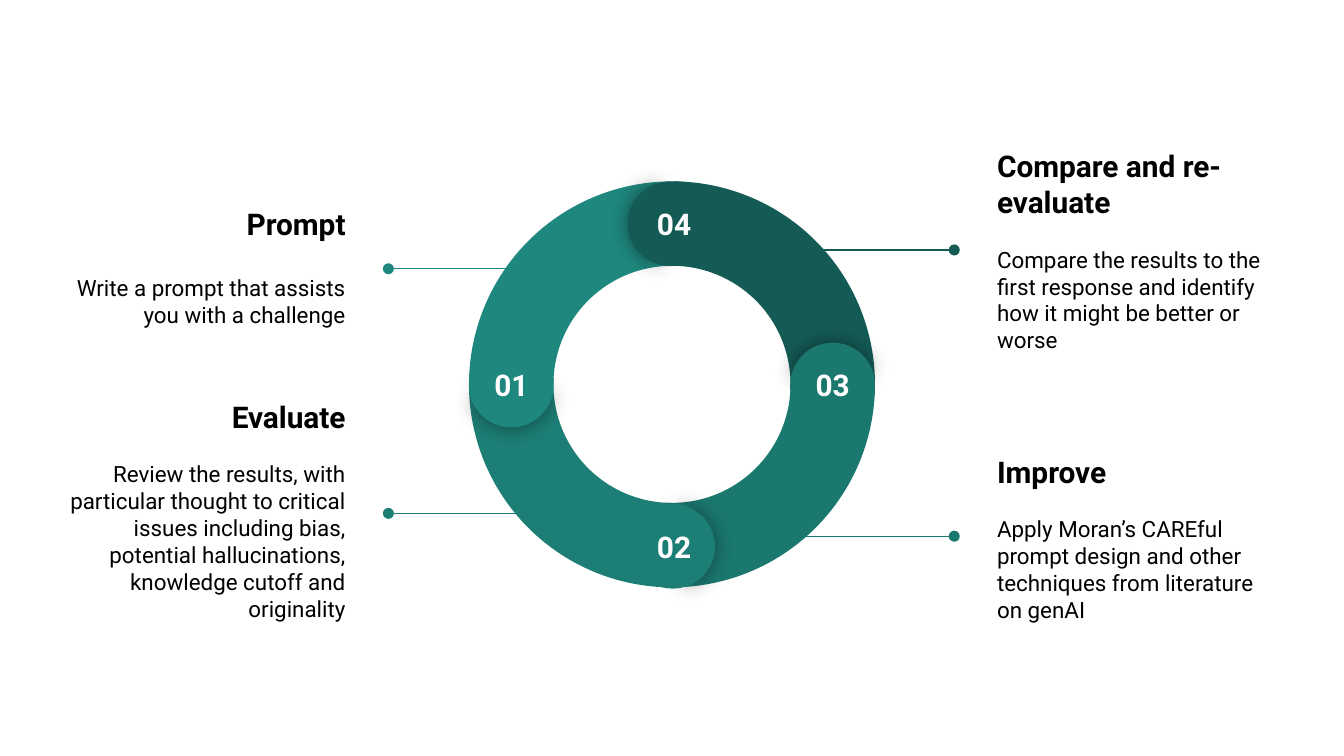
from dataclasses import dataclass

from lxml import etree
from pptx import Presentation
from pptx import util as u
from pptx.dml.color import RGBColor
from pptx.enum import shapes, text
from pptx.oxml.ns import qn

PX = 9144  # EMU in one px, at 100 px to the inch


@dataclass(frozen=True)
class Theme:
    font: str = "Roboto"
    ink: str = "000000"
    white: str = "FFFFFF"
    prompt: str = "1F887E"
    evaluate: str = "1D7E75"
    improve: str = "1B786F"
    compare: str = "155B55"
    heading: int = 16
    body: int = 12
    number: int = 16
    line: float = 0.75


THEME = Theme()
SHAPE = shapes.MSO_SHAPE
ALIGN = text.PP_ALIGN
ARC = (210.38, 303, 20.8 / 60)  # start and end in degrees, then thickness
FRONT, BACK = (103.17, 249.94), (67.14, 286.4)
CAP = 63

# number, colour, arc turn, cap turn, cap offset, number offset
STEPS = {
    "01": (THEME.prompt, 330, 270, (0, 120), (4, 128)),
    "02": (THEME.evaluate, 240, 180, (120, 240), (125, 248)),
    "03": (THEME.improve, 150, 90, (239, 120), (243, 128)),
    "04": (THEME.compare, 60, 0, (118, 0), (125, 8)),
}

# heading, body, colour, box, line (start x, end x, y) relative to the box, gap
CALLOUTS = [
    ("Prompt", "Write a prompt that assists you with a challenge",
     THEME.prompt, (35, 128, 232, 141), (368, 254, 72), 17.5),
    ("Evaluate",
     "Review the results, with particular thought to critical issues including "
     "bias, potential hallucinations, knowledge cutoff and originality",
     THEME.evaluate, (35, 309, 232, 141), (397, 254, 73), 14),
    ("Compare and re-evaluate",
     "Compare the results to the first response and identify how it might be "
     "better or worse",
     THEME.compare, (732, 116, 232, 141), (-162, -22, 70), 14),
    ("Improve",
     "Apply Moran’s CAREful prompt design and other techniques from literature "
     "on genAI",
     THEME.improve, (732, 330, 232, 141), (-162, -22, 69), 14),
]


def px(*lengths):
    return [u.Emu(length * PX) for length in lengths]


def add_text(para, words, *, size, color, bold=False, align=ALIGN.LEFT, after=0):
    para.alignment = align
    para.space_after = u.Pt(after)
    span = para.add_run()
    span.text = words
    span.font.name = THEME.font
    span.font.size = u.Pt(size)
    span.font.bold = bold
    span.font.color.rgb = RGBColor.from_string(color)


def add_frame(parts, box, anchor):
    frame = parts.add_textbox(*px(*box)).text_frame
    frame.word_wrap = True
    frame.vertical_anchor = anchor
    frame.margin_left = frame.margin_right = u.Inches(0.1)
    frame.margin_top = frame.margin_bottom = u.Inches(0.1)
    return frame


def add_shadow(shape):
    effects = shape._element.spPr.find(qn("a:effectLst"))
    shadow = etree.SubElement(effects, qn("a:outerShdw"), blurRad=str(u.Pt(11.2)),
                              dist="0", algn="ctr", rotWithShape="0")
    black = etree.SubElement(shadow, qn("a:srgbClr"), val=THEME.ink)
    etree.SubElement(black, qn("a:alpha"), val="43000")


def add_sector(parts, kind, box, color, turn, angles):
    shape = parts.add_shape(kind, *px(*box))
    for index, angle in enumerate(angles):
        shape.adjustments[index] = angle * 0.6  # 60000ths of a degree, over 100000
    shape.rotation = turn
    shape.shadow.inherit = False
    shape.fill.solid()
    shape.fill.fore_color.rgb = RGBColor.from_string(color)
    shape.line.fill.background()
    return shape


def add_cap(parts, left, top, number):
    """Round end of one arc, with its number."""
    color, _, turn, (dx, dy), (text_dx, text_dy) = STEPS[number]
    box = (left + dx, top + dy, CAP, CAP)
    add_shadow(add_sector(parts, SHAPE.PIE, box, color, turn + 0.7, FRONT))
    add_sector(parts, SHAPE.PIE, box, color, (turn + 180) % 360, BACK)
    frame = add_frame(parts, (left + text_dx, top + text_dy, 55, 29),
                      text.MSO_ANCHOR.TOP)
    add_text(frame.paragraphs[0], number, size=THEME.number, color=THEME.white,
             bold=True, align=ALIGN.CENTER)


def add_ring(page, box):
    parts = page.shapes.add_group_shape().shapes
    for number in ("02", "01", "04", "03"):
        color, turn, *_ = STEPS[number]
        add_sector(parts, SHAPE.BLOCK_ARC, box, color, turn, ARC)
    for number in ("03", "02", "01", "04"):
        add_cap(parts, *box[:2], number)


def add_callout(page, box, heading, body, color, leader, gap):
    parts = page.shapes.add_group_shape().shapes
    left, top = box[:2]
    start, end, drop = leader
    align = ALIGN.RIGHT if end > 0 else ALIGN.LEFT

    # Heading and explanation
    frame = add_frame(parts, box, text.MSO_ANCHOR.MIDDLE)
    add_text(frame.paragraphs[0], heading, size=THEME.heading, color=THEME.ink,
             bold=True, align=align, after=gap)
    add_text(frame.add_paragraph(), body, size=THEME.body, color=THEME.ink,
             align=align, after=16)

    # Leader line with a dot by the text
    line = parts.add_connector(shapes.MSO_CONNECTOR.STRAIGHT, *px(
        left + start, top + drop, left + end, top + drop))
    line.line.color.rgb = RGBColor.from_string(color)
    line.line.width = u.Pt(THEME.line)
    etree.SubElement(line.line._get_or_add_ln(), qn("a:tailEnd"), type="oval")
    etree.SubElement(line._element.spPr, qn("a:effectLst"))


def main():
    deck = Presentation()
    deck.slide_width = u.Emu(1000 * PX)
    deck.slide_height = u.Emu(deck.slide_width * 9 // 16)
    page = deck.slides.add_slide(deck.slide_layouts[6])
    add_ring(page, (349, 135, 302, 302))
    for heading, body, color, box, leader, gap in CALLOUTS:
        add_callout(page, box, heading, body, color, leader, gap)
    deck.save("out.pptx")


if __name__ == "__main__":
    main()
